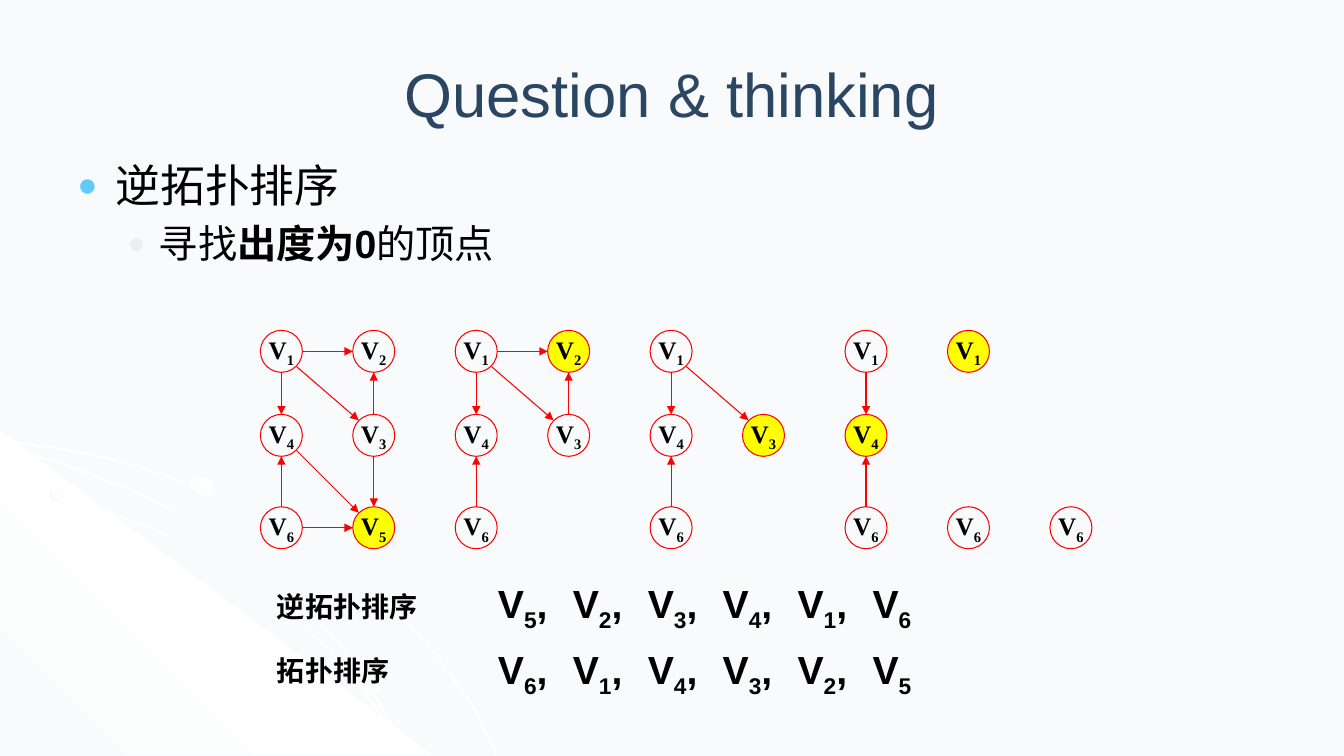
from lxml import etree
from copy import deepcopy
from pptx import Presentation
from pptx.dml.color import RGBColor
from pptx.enum.shapes import MSO_CONNECTOR, MSO_SHAPE
from pptx.enum.text import MSO_ANCHOR, MSO_AUTO_SIZE, PP_ALIGN
from pptx.oxml.ns import qn
from pptx.util import Inches, Pt

OVAL, STRAIGHT = MSO_SHAPE.OVAL, MSO_CONNECTOR.STRAIGHT
CENTER, LEFT = PP_ALIGN.CENTER, PP_ALIGN.LEFT
TOP, MIDDLE = MSO_ANCHOR.TOP, MSO_ANCHOR.MIDDLE

# The slide is a grid of 160 columns by 90 rows
COLUMNS, ROWS = 160, 90
CELL = Inches(7.5) / ROWS

PALE, WHITE, BLACK = "F9FAFB", "FFFFFF", "000000"
RED, YELLOW, NAVY = "FF0000", "FFFF00", "2B4663"

RADIUS, DIAGONAL = 2.5, 1.8
COLUMN_GAP = 11
ROW_CENTERS = [41.83, 51.83, 62.83]
STAGE_CENTERS = [33.5, 56.7, 79.9, 103.1, 115.3, 127.5]
VERTICES = {"1": (0, 0), "2": (1, 0), "4": (0, 1),
            "3": (1, 1), "6": (0, 2), "5": (1, 2)}
EDGES = ["12", "14", "13", "45", "32", "64", "65", "35"]
REMOVAL_ORDER = "523416"

ARCS = [
    [(0, 52.2), (4.4, 52.9), (9.1, 53.6), (15.7, 55.1), (21.8, 57.2), (27.8, 59.6),
     (33.5, 62.5), (38.6, 65.8), (43.6, 69.3), (48, 73.4), (52, 77.8), (56.3, 83.8),
     (59.2, 89.7)],
    [(0, 57), (6.5, 58.6), (12.6, 60.6), (18.7, 63.1), (24.4, 65.9), (29.5, 69.1),
     (34.3, 72.7), (38.8, 76.8), (42.6, 81.1), (45.8, 85.4), (48.5, 89.7)],
    [(0, 53), (6.1, 54.6), (12.1, 56.8), (17.9, 59.2), (22.9, 61.9), (28, 65.2),
     (32.6, 68.8), (36.7, 72.4), (40.7, 76.7), (45.1, 83.2), (48.5, 89.7)],
]
DROPS = [(5.8, 58, 2.4, 1.8, 45), (42.7, 80.9, 2.5, 1.9, 315), (22, 56.8, 3.4, 2.5, 45)]


def cells(*lengths):
    """Turn grid lengths into EMU."""
    return [round(length * CELL) for length in lengths]


def color(code):
    return RGBColor.from_string(code)


def write(paragraph, text, size=18, font="Arial", ink=BLACK, bold=False,
          align=LEFT, subscript=False):
    """Add one formatted run to the paragraph."""
    paragraph.alignment = align
    run = paragraph.add_run()
    run.text = text
    run.font.size, run.font.name, run.font.bold = Pt(size), font, bold
    run.font.color.rgb = color(ink)
    if subscript:
        run.font._element.set("baseline", "-25000")


def write_vertex(paragraph, number, **style):
    write(paragraph, "V", bold=True, **style)
    write(paragraph, number, bold=True, subscript=True, **style)


def fill_gradient(shape, codes, angle):
    shape.shadow.inherit = False
    shape.line.fill.background()
    shape.fill.gradient()
    shape.fill.gradient_angle = angle
    stop_list = shape._element.spPr.find(".//" + qn("a:gsLst"))
    for _ in codes[2:]:
        stop_list.append(deepcopy(stop_list[0]))
    for index, (stop, code) in enumerate(zip(shape.fill.gradient_stops, codes)):
        stop.color.rgb = color(code)
        stop.position = index / (len(codes) - 1)


def add_outline(slide, points, codes, angle):
    corners = [cells(*point) for point in points]
    builder = slide.shapes.build_freeform(*corners[0])
    builder.add_line_segments(corners[1:], close=True)
    fill_gradient(builder.convert_to_shape(), codes, angle)


def add_arc(slide, upper):
    lower = [(max(x - 0.2, 0), y + 0.25) for x, y in reversed(upper)]
    add_outline(slide, upper + lower, [WHITE, PALE, WHITE], 315)


def add_background(slide):
    slide.background.fill.solid()
    slide.background.fill.fore_color.rgb = color(PALE)
    add_arc(slide, ARCS[0])
    add_outline(slide, [(0, 51.2), (51.5, 89.9), (0, 89.9)], [PALE, WHITE, PALE], 45)
    for arc in ARCS[1:]:
        add_arc(slide, arc)
    for *frame, angle in DROPS:
        fill_gradient(slide.shapes.add_shape(OVAL, *cells(*frame)), [PALE, WHITE], angle)


def place(placeholder, frame, anchor):
    placeholder.left, placeholder.top, placeholder.width, placeholder.height = cells(*frame)
    text_frame = placeholder.text_frame
    text_frame.auto_size = MSO_AUTO_SIZE.NONE
    text_frame.vertical_anchor = anchor
    return text_frame


def set_bullet(paragraph, code, margin, indent):
    properties = paragraph._p.get_or_add_pPr()
    properties.set("marL", str(Inches(margin)))
    properties.set("indent", str(Inches(indent)))
    bullet_color = etree.SubElement(properties, qn("a:buClr"))
    etree.SubElement(bullet_color, qn("a:srgbClr"), val=code)
    etree.SubElement(properties, qn("a:buSzPct"), val="75000")
    etree.SubElement(properties, qn("a:buChar"), char="●")


def add_headings(slide):
    title, body = slide.placeholders
    title_frame = place(title, (8, 3.6, 144, 15), MIDDLE)
    write(title_frame.paragraphs[0], "Question & thinking", size=44, ink=NAVY, align=CENTER)

    body_frame = place(body, (8, 18.2, 144, 62.3), TOP)
    topic = body_frame.paragraphs[0]
    set_bullet(topic, "5FCBFB", 0.38, -0.38)
    topic.space_before = Pt(0)
    write(topic, "逆拓扑排序", size=32)
    hint = body_frame.add_paragraph()
    hint.level = 1
    set_bullet(hint, "E8EEF2", 0.81, -0.31)
    hint.space_before = Pt(5.6)
    for text, bold in [("寻找", False), ("出度为0", True), ("的顶点", False)]:
        write(hint, text, size=28, bold=bold)


def add_node(group, center, number, highlighted):
    x, y = center
    node = group.shapes.add_shape(
        OVAL, *cells(x - RADIUS, y - RADIUS, 2 * RADIUS, 2 * RADIUS))
    node.shadow.inherit = False
    node.line.color.rgb, node.line.width = color(RED), Pt(0.75)
    if highlighted:
        node.fill.solid()
        node.fill.fore_color.rgb = color(YELLOW)
    else:
        node.fill.background()
    text_frame = node.text_frame
    text_frame.word_wrap = False
    text_frame.vertical_anchor = MIDDLE
    write_vertex(text_frame.paragraphs[0], number, font="Times New Roman", align=CENTER)


def add_arrow(group, start, end):
    """Draw an arrow between the rims of the nodes centred at start and end."""
    signs = [(b > a) - (b < a) for a, b in zip(start, end)]
    reach = DIAGONAL if all(signs) else RADIUS
    begin = [a + sign * reach for a, sign in zip(start, signs)]
    finish = [b - sign * reach for b, sign in zip(end, signs)]
    arrow = group.shapes.add_connector(STRAIGHT, *cells(*begin, *finish))
    arrow.line.color.rgb, arrow.line.width = color(RED), Pt(0.75)
    properties = arrow._element.spPr
    etree.SubElement(properties.find(qn("a:ln")), qn("a:tailEnd"), type="triangle")
    etree.SubElement(properties, qn("a:effectLst"))


def add_stage(slide, step, left):
    """Draw the graph that is left after the given number of removals."""
    remaining = REMOVAL_ORDER[step:]
    centers = {number: (left + column * COLUMN_GAP, ROW_CENTERS[row])
               for number, (column, row) in VERTICES.items() if number in remaining}
    if step == 4:
        centers["1"] = (left, ROW_CENTERS[0])
    group = slide.shapes.add_group_shape()
    for number, center in centers.items():
        is_next = number == remaining[0] and len(remaining) > 1
        add_node(group, center, number, is_next)
    for start, end in EDGES:
        if start in centers and end in centers:
            add_arrow(group, centers[start], centers[end])


def add_label(slide, frame):
    text_frame = slide.shapes.add_textbox(*cells(*frame)).text_frame
    text_frame.word_wrap = False
    return text_frame.paragraphs[0]


def add_sequence(slide, caption, caption_top, order, top):
    write(add_label(slide, (31.8, caption_top, 19.2, 5.3)), caption, size=20, bold=True)
    for index, number in enumerate(order):
        is_last = index == len(order) - 1
        width = 7.2 if is_last else 9.8
        paragraph = add_label(slide, (58.1 + 8.92 * index, top, width, 6.8))
        write_vertex(paragraph, number, size=28)
        if not is_last:
            write(paragraph, ",", size=28, bold=True)


def main():
    presentation = Presentation()
    presentation.slide_width, presentation.slide_height = cells(COLUMNS, ROWS)
    slide = presentation.slides.add_slide(presentation.slide_layouts[1])
    add_headings(slide)
    add_background(slide)
    for step, left in enumerate(STAGE_CENTERS):
        add_stage(slide, step, left)
    add_sequence(slide, "逆拓扑排序", 69.6, REMOVAL_ORDER, 68.4)
    add_sequence(slide, "拓扑排序", 77.2, REMOVAL_ORDER[::-1], 76.2)
    presentation.save("out.pptx")


if __name__ == "__main__":
    main()
